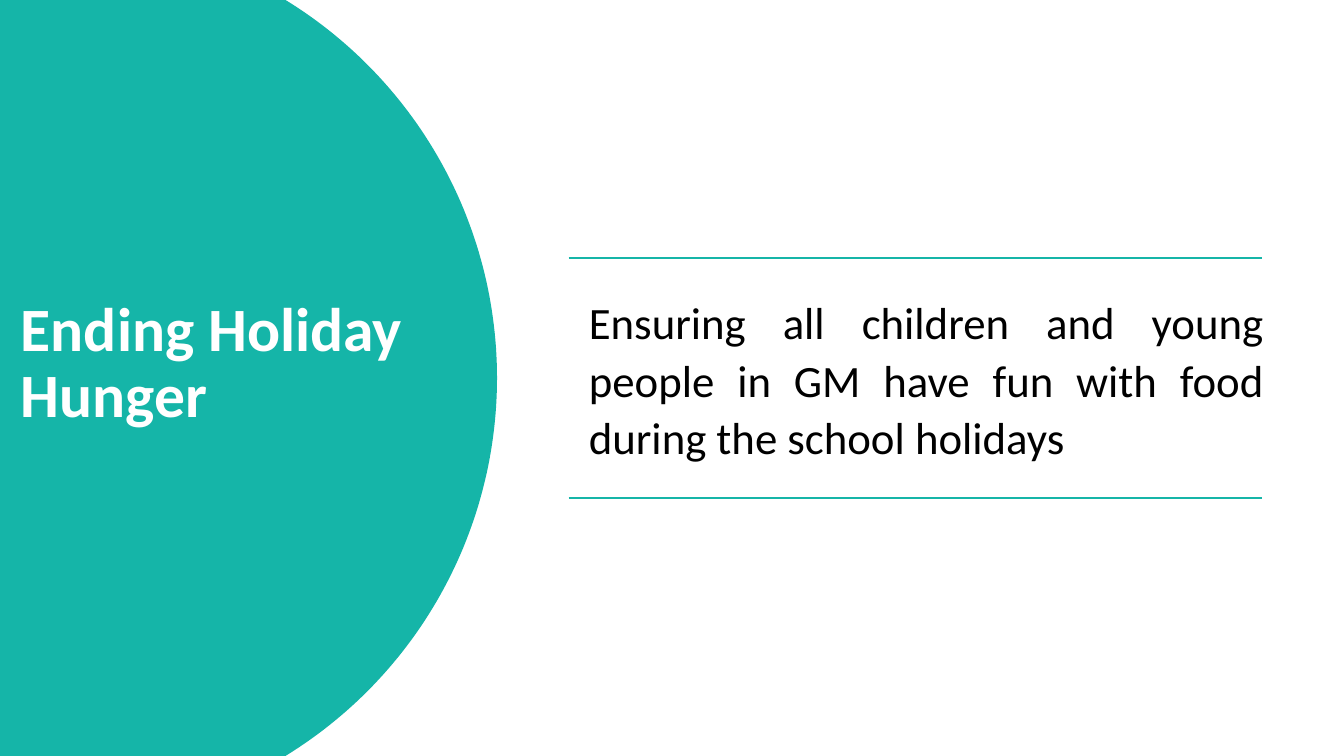
from math import asin, cos, sin
from lxml.etree import SubElement
from pptx import Presentation
from pptx.dml.color import RGBColor
from pptx.enum.shapes import MSO_CONNECTOR
from pptx.enum.text import MSO_ANCHOR, PP_ALIGN
from pptx.oxml.ns import qn
from pptx.util import Inches, Pt

COLORS = {"teal": "15B5A8", "white": "FFFFFF", "black": "000000"}
WIDTH, HEIGHT = 13.33, 7.5


class SlideBuilder:
    def __init__(self, slide, font="Calibri"):
        self.slide = slide
        self.font = font

    def color(self, name):
        return RGBColor.from_string(COLORS[name])

    def background(self, color):
        fill = self.slide.background.fill
        fill.solid()
        fill.fore_color.rgb = self.color(color)

    def outline(self, points, color):
        (x0, y0), *rest = [(Inches(x), Inches(y)) for x, y in points]
        builder = self.slide.shapes.build_freeform(x0, y0)
        builder.add_line_segments(rest, close=True)
        sp = builder.convert_to_shape()
        sp.shadow.inherit = False
        sp.fill.solid()
        sp.fill.fore_color.rgb = self.color(color)
        sp.line.fill.background()

    def rule(self, left, right, y, color, width=1):
        line = self.slide.shapes.add_connector(
            MSO_CONNECTOR.STRAIGHT, Inches(left), Inches(y), Inches(right), Inches(y))
        line.line.color.rgb = self.color(color)
        line.line.width = Pt(width)
        SubElement(line._element.spPr, qn("a:effectLst"))

    def text(self, box, words, size, color, bold=False, align=PP_ALIGN.LEFT,
             anchor=MSO_ANCHOR.TOP, spacing=1.0, after=0, inset=None):
        sp = self.slide.shapes.add_textbox(*map(Inches, box))
        tf = sp.text_frame
        tf.word_wrap = True
        tf.vertical_anchor = anchor
        if inset is not None:
            tf.margin_left = tf.margin_right = Inches(inset)
            tf.margin_top = tf.margin_bottom = Inches(inset)
        p = tf.paragraphs[0]
        p.alignment = align
        p.line_spacing = spacing
        p.space_after = Pt(after)
        r = p.add_run()
        r.text = words
        r.font.name = self.font
        r.font.size = Pt(size)
        r.font.bold = bold
        r.font.color.rgb = self.color(color)


def disc_outline(center_x=0.53, radius=4.4, steps=120):
    middle = HEIGHT / 2
    reach = asin(middle / radius)
    angles = [reach * (2 * i / steps - 1) for i in range(steps + 1)]
    arc = [(center_x + radius * cos(a), middle + radius * sin(a)) for a in angles]
    return [(0, 0), *arc, (0, HEIGHT)]


def main():
    prs = Presentation()
    prs.slide_width, prs.slide_height = Inches(WIDTH), Inches(HEIGHT)
    s = SlideBuilder(prs.slides.add_slide(prs.slide_layouts[6]))
    s.background("white")
    s.outline(disc_outline(), "teal")
    s.text((0.11, 0.57, 4.93, 6.09), "Ending Holiday Hunger", 44, "white",
           bold=True, anchor=MSO_ANCHOR.MIDDLE, spacing=0.9, after=6)
    for y in (2.56, 4.94):
        s.rule(5.64, 12.52, y, "teal")
    s.text((5.75, 2.8, 6.88, 1.91),
           "Ensuring all children and young people in GM have fun with food "
           "during the school holidays",
           32, "black", align=PP_ALIGN.JUSTIFY, spacing=1.07, after=8, inset=0.09)
    prs.save("out.pptx")


if __name__ == "__main__":
    main()
